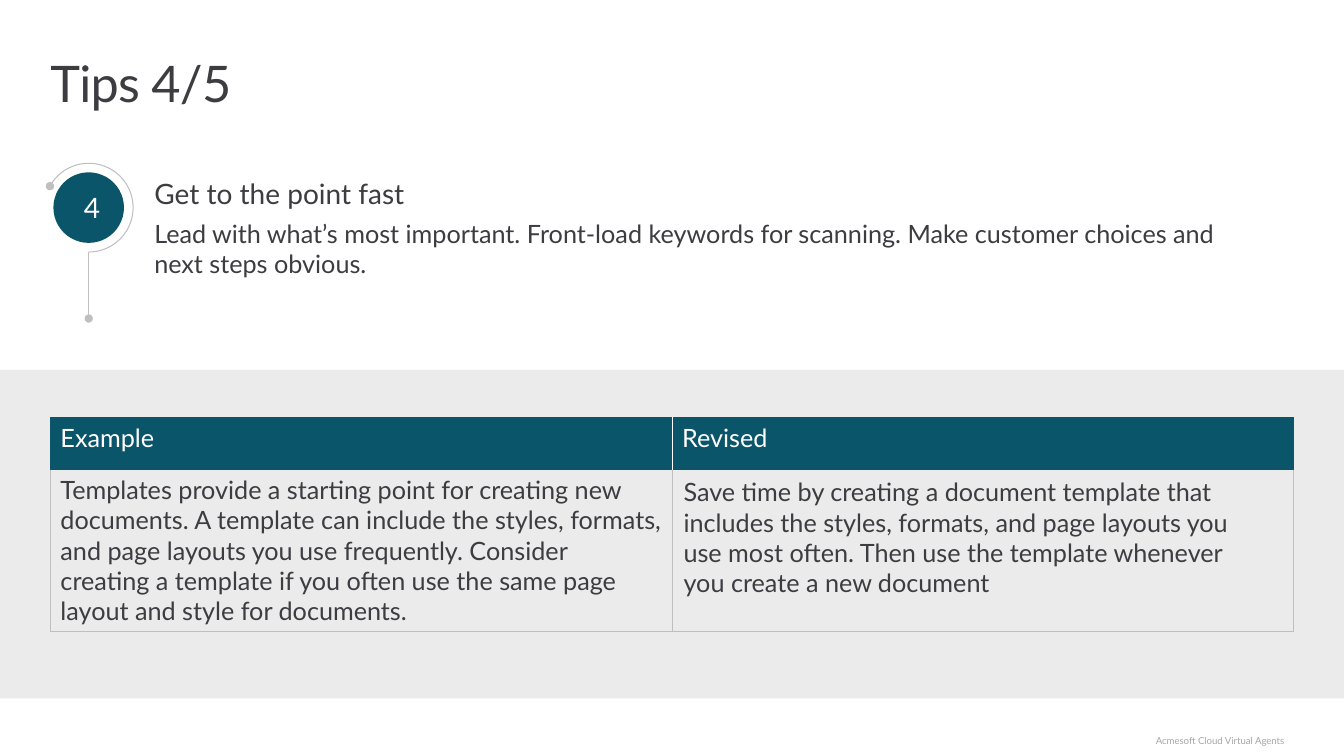
import math

import pptx
import pptx.dml.color
import pptx.enum.shapes
import pptx.enum.text
import pptx.oxml.ns
import pptx.util
from lxml import etree

Inches, Pt = pptx.util.Inches, pptx.util.Pt
RGBColor = pptx.dml.color.RGBColor
PP_ALIGN = pptx.enum.text.PP_ALIGN
ANCHOR = pptx.enum.text.MSO_ANCHOR
SHAPE = pptx.enum.shapes.MSO_SHAPE
qn = pptx.oxml.ns.qn

# Content
TITLE = "Tips 4/5"
TIP_NUMBER = "4"
TIP_HEADING = "Get to the point fast"
TIP_BODY = ("Lead with what’s most important. Front-load keywords for scanning. "
            "Make customer choices and next steps obvious.")
HEADERS = ["Example", "Revised"]
EXAMPLE = ("Templates provide a starting point for creating new documents. "
           "A template can include the styles, formats, and page layouts you use "
           "frequently. Consider creating a template if you often use the same page "
           "layout and style for documents.")
REVISED = ("Save time by creating a document template that includes the styles, "
           "formats, and page layouts you use most often. Then use the template "
           "whenever you create a new document")
FOOTER = "Acmesoft Cloud Virtual Agents"

# Style
FONT = "Lato"
TEAL = RGBColor(0x0B, 0x55, 0x6A)
INK = RGBColor(0x3C, 0x3C, 0x41)
WHITE = RGBColor(0xFF, 0xFF, 0xFF)
BAND = RGBColor(0xEB, 0xEB, 0xEB)
RULE = RGBColor(0xBF, 0xBF, 0xBF)
FOOTER_GREY = RGBColor(0xA6, 0xA6, 0xA6)

# Layout in inches
SLIDE_W, SLIDE_H = 13.33, 7.5
MARGIN = 0.5
TABLE_W = SLIDE_W - 2 * MARGIN
ROW_HEIGHTS = [0.52, 1.6]
CENTRE_X, CENTRE_Y = 0.88, 2.06
DISC_RADIUS, ARC_RADIUS = 0.35, 0.44
ARC_START, ARC_END, ARC_STEP = 209, 450, 3
STEM_END = 3.16


def add_span(para, text, size, color):
    span = para.add_run()
    span.text = text
    span.font.name = FONT
    span.font.size = Pt(size)
    span.font.color.rgb = color
    return span


def set_frame(frame, insets=(0, 0, 0, 0), anchor=ANCHOR.TOP):
    frame.word_wrap = True
    frame.vertical_anchor = anchor
    (frame.margin_left, frame.margin_top,
     frame.margin_right, frame.margin_bottom) = [Inches(inset) for inset in insets]
    return frame


def add_box(page, left, top, width, height, **frame_options):
    box = page.shapes.add_textbox(Inches(left), Inches(top), Inches(width), Inches(height))
    return set_frame(box.text_frame, **frame_options)


def add_solid(page, kind, left, top, width, height, color):
    shape = page.shapes.add_shape(kind, Inches(left), Inches(top), Inches(width), Inches(height))
    shape.shadow.inherit = False
    shape.fill.solid()
    shape.fill.fore_color.rgb = color
    shape.line.fill.background()
    return shape


def style_line(shape, end):
    """Grey hairline with a round dot at one end (headEnd or tailEnd)."""
    shape.line.color.rgb = RULE
    shape.line.width = Pt(0.75)
    etree.SubElement(shape.line._get_or_add_ln(), qn("a:" + end), type="oval")


def set_borders(cell, left=None, right=None, top=None, bottom=None):
    props = cell._tc.get_or_add_tcPr()
    for side, color in (("L", left), ("R", right), ("T", top), ("B", bottom)):
        line = etree.SubElement(props, qn("a:ln" + side), w=str(Pt(0.5)))
        if color is None:
            etree.SubElement(line, qn("a:noFill"))
        else:
            fill = etree.SubElement(line, qn("a:solidFill"))
            etree.SubElement(fill, qn("a:srgbClr"), val=str(color))


def add_marker(page):
    disc = add_solid(page, SHAPE.OVAL, CENTRE_X - DISC_RADIUS, CENTRE_Y - DISC_RADIUS,
                     2 * DISC_RADIUS, 2 * DISC_RADIUS, TEAL)
    frame = set_frame(disc.text_frame, (0.2, 0.16, 0.2, 0.16), ANCHOR.MIDDLE)
    para = frame.paragraphs[0]
    para.alignment = PP_ALIGN.CENTER
    add_span(para, TIP_NUMBER, 20, WHITE)

    points = []
    for degrees in range(ARC_START, ARC_END, ARC_STEP):
        angle = math.radians(degrees)
        points.append((Inches(CENTRE_X + ARC_RADIUS * math.cos(angle)),
                       Inches(CENTRE_Y + ARC_RADIUS * math.sin(angle))))
    points.append((Inches(CENTRE_X), Inches(CENTRE_Y + ARC_RADIUS)))
    builder = page.shapes.build_freeform(*points[0])
    builder.add_line_segments(points[1:], close=False)
    arc = builder.convert_to_shape()
    arc.shadow.inherit = False
    arc.fill.background()
    style_line(arc, "headEnd")

    stem = page.shapes.add_connector(
        pptx.enum.shapes.MSO_CONNECTOR.STRAIGHT, Inches(CENTRE_X),
        Inches(CENTRE_Y + ARC_RADIUS), Inches(CENTRE_X), Inches(STEM_END))
    style_line(stem, "tailEnd")
    etree.SubElement(stem._element.spPr, qn("a:effectLst"))


def add_comparison(page):
    table = page.shapes.add_table(2, 2, Inches(MARGIN), Inches(4.14), Inches(TABLE_W),
                                  Inches(sum(ROW_HEIGHTS))).table
    table.first_row = table.horz_banding = False
    for row, height in zip(table.rows, ROW_HEIGHTS):
        row.height = Inches(height)
    for column, header in enumerate(HEADERS):
        cell = table.cell(0, column)
        outer = [TEAL, WHITE, TEAL]
        set_borders(cell, outer[column], outer[column + 1], top=TEAL)
        cell.fill.solid()
        cell.fill.fore_color.rgb = TEAL
        add_span(cell.text_frame.paragraphs[0], header, 18, WHITE)

        body = table.cell(1, column)
        set_borders(body, RULE, RULE, bottom=RULE)
        body.fill.background()
    add_span(table.cell(1, 0).text_frame.paragraphs[0], EXAMPLE, 18, INK)


def main():
    deck = pptx.Presentation()
    deck.slide_width, deck.slide_height = Inches(SLIDE_W), Inches(SLIDE_H)
    page = deck.slides.add_slide(deck.slide_layouts[6])

    # Footer and grey band
    footer = add_box(page, 8.74, 7.28, 4, 0.13, anchor=ANCHOR.MIDDLE).paragraphs[0]
    footer.alignment = PP_ALIGN.RIGHT
    add_span(footer, FOOTER, 6.9, FOOTER_GREY)
    add_solid(page, SHAPE.RECTANGLE, 0, 3.67, SLIDE_W, 3.26, BAND)

    # Title
    title = add_box(page, MARGIN, 0.68, 12.36, 0.44).paragraphs[0]
    title.line_spacing = Pt(31.4)
    span = add_span(title, TITLE, 36, INK)
    span.font._element.set("spc", "-50")

    # Numbered tip
    add_marker(page)
    tip = add_box(page, 1.53, 1.65, 10.92, 1.56, insets=(0, 0.1, 0, 0.1))
    heading, body = tip.paragraphs[0], tip.add_paragraph()
    for para, text, size in ((heading, TIP_HEADING, 20), (body, TIP_BODY, 18)):
        para.space_after = Pt(6)
        add_span(para, text, size, INK)

    # Example and revision
    add_comparison(page)
    revised = add_box(page, 6.78, 4.73, 5.58, 1.21)
    add_span(revised.paragraphs[0], REVISED, 18, INK)

    deck.save("out.pptx")


if __name__ == "__main__":
    main()
